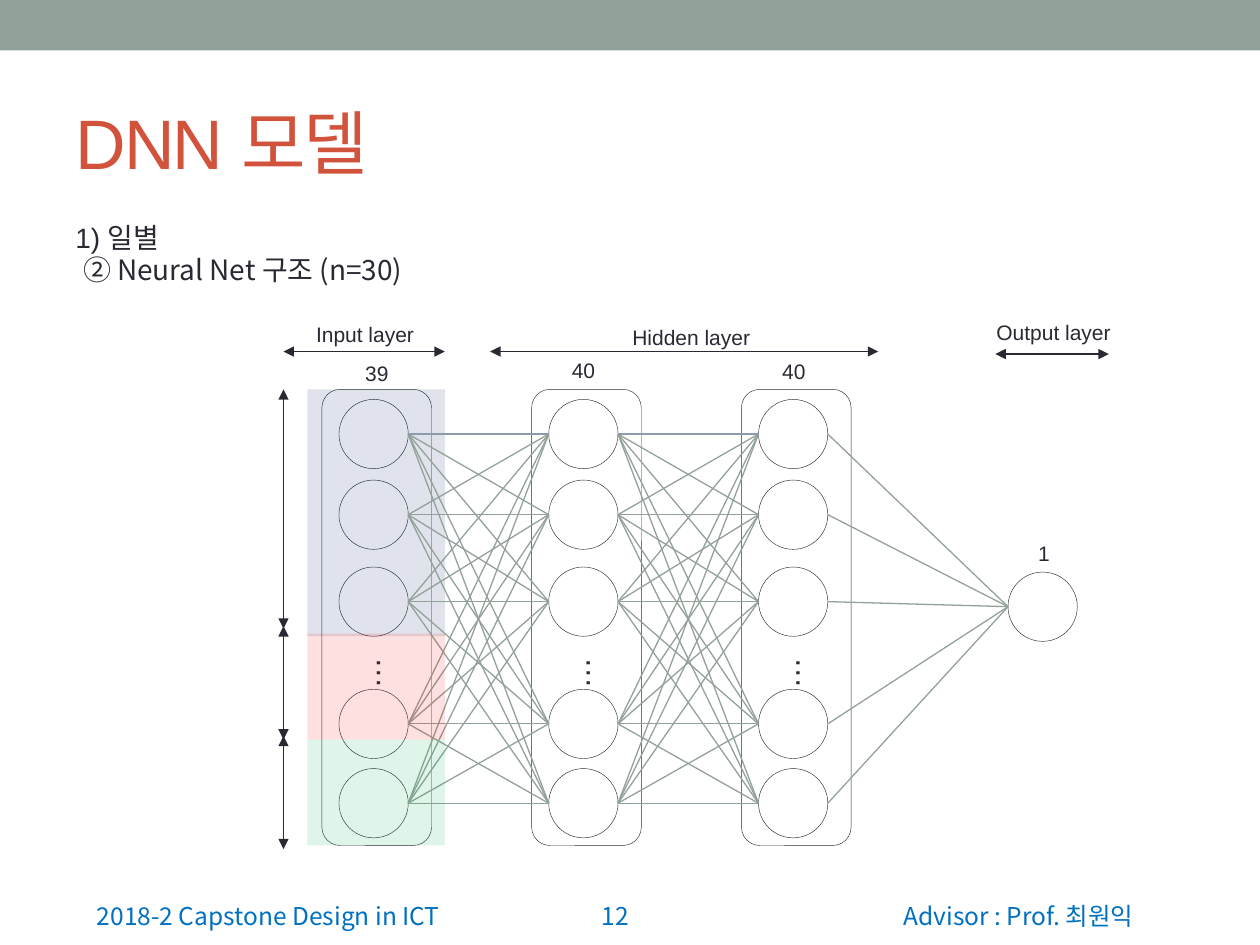
"""Build the slide on the DNN model's neural net structure."""
from dataclasses import dataclass
from itertools import product

from lxml.etree import SubElement
from pptx import Presentation
from pptx.dml.color import RGBColor as RGB
from pptx.enum.shapes import MSO_CONNECTOR as CONN, MSO_SHAPE as SHAPE
from pptx.enum.text import MSO_ANCHOR as ANCHOR, PP_ALIGN as ALIGN
from pptx.oxml.ns import qn
from pptx.util import Inches, Pt

COLS, ROWS = 100, 75
NODE, NODE_TOPS = 5.5, (31.7, 38.1, 45, 54.7, 61)
LAYER_X, LAYER_STEP = 26.9, 16.65
OUTPUT_X, OUTPUT_Y = 80, 45.4
BAND_X, BAND_W = 24.4, 10.9


@dataclass(frozen=True)
class Theme:
    """Colours, fonts and type sizes of the slide."""
    ink: str = "292934"
    title: str = "D2533C"
    footer: str = "0070C0"
    sage: str = "93A299"
    steel: str = "8C9CAD"
    navy: str = "002060"
    red: str = "FF0000"
    green: str = "00B050"
    sans: str = "Arial"
    korean: str = "Noto Sans CJK KR"
    title_size: int = 40
    dots_size: int = 18
    body_size: int = 16
    footer_size: int = 14
    label_size: int = 12
    thin: float = 0.25
    link: float = 0.75
    band_alpha: int = 12


T = Theme()


def cell(n):
    """Turn grid cells into a length; a cell is a tenth of an inch."""
    return Inches(n / 10)


def add_run(p, text, size, color, font=T.sans, spacing=None):
    """Append one styled run to a paragraph."""
    r = p.add_run()
    r.text = text
    r.font.size, r.font.name = Pt(size), font
    r.font.color.rgb = RGB.from_string(color)
    rPr = r.font._element
    SubElement(rPr, qn("a:ea")).set("typeface", T.korean)
    if spacing:
        rPr.set("spc", str(int(spacing * 100)))


def add_box(s, x, y, w, h, anchor=ANCHOR.TOP):
    """Add a wrapping text box and return its text frame."""
    tf = s.shapes.add_textbox(*map(cell, (x, y, w, h))).text_frame
    tf.word_wrap, tf.vertical_anchor = True, anchor
    return tf


def add_label(s, text, x, y, w):
    """Add a short diagram label."""
    add_run(add_box(s, x, y, w, 3).paragraphs[0], text, T.label_size, T.ink)


def add_footer(s, text, x, w, align):
    """Add one part of the footer."""
    p = add_box(s, x, 69.3, w, 5, ANCHOR.BOTTOM).paragraphs[0]
    p.alignment = align
    add_run(p, text, T.footer_size, T.footer, T.korean)


def add_outline(s, kind, x, y, w, h):
    """Add an unfilled shape with a hairline."""
    sp = s.shapes.add_shape(kind, *map(cell, (x, y, w, h)))
    sp.shadow.inherit = False
    sp.fill.background()
    sp.line.color.rgb, sp.line.width = RGB.from_string(T.ink), Pt(T.thin)


def add_fill(s, color, x, y, w, h, alpha=None):
    """Add a borderless rectangle, optionally see-through."""
    sp = s.shapes.add_shape(SHAPE.RECTANGLE, *map(cell, (x, y, w, h)))
    sp.shadow.inherit = False
    sp.fill.solid()
    sp.fill.fore_color.rgb = RGB.from_string(color)
    sp.line.fill.background()
    if alpha:
        clr = sp._element.spPr.find(qn("a:solidFill"))[0]
        SubElement(clr, qn("a:alpha")).set("val", str(alpha * 1000))


def add_line(s, x1, y1, x2, y2, color=T.sage):
    """Add a straight connector."""
    c = s.shapes.add_connector(CONN.STRAIGHT, *map(cell, (x1, y1, x2, y2)))
    c.line.color.rgb, c.line.width = RGB.from_string(color), Pt(T.link)
    SubElement(c._element.spPr, qn("a:effectLst"))
    return c


def add_span(s, x1, y1, x2, y2):
    """Add a double-headed arrow."""
    ln = add_line(s, x1, y1, x2, y2, T.ink).line._get_or_add_ln()
    for end in ("a:headEnd", "a:tailEnd"):
        SubElement(ln, qn(end)).set("type", "triangle")


def add_layer(s, x):
    """Add a framed column of nodes with its ellipsis."""
    add_outline(s, SHAPE.ROUNDED_RECTANGLE, x - 1.35, 30.9, 8.7, 36.2)
    for y in NODE_TOPS:
        add_outline(s, SHAPE.OVAL, x, y, NODE, NODE)
    tf = add_box(s, x + 1, 51.2, 5, 4.2)
    tf._txBody.bodyPr.set("vert", "eaVert")
    add_run(tf.paragraphs[0], "…", T.dots_size, T.ink)


def add_links(s, x1, x2, targets=NODE_TOPS):
    """Join every node at x1 to every target node at x2."""
    for a, b in product(NODE_TOPS, targets):
        color = T.steel if a == b == NODE_TOPS[0] else T.sage
        add_line(s, x1 + NODE, a + NODE / 2, x2, b + NODE / 2, color)


def add_network(s):
    """Draw the layers, their links and the input bands."""
    source, first, second = (LAYER_X + i * LAYER_STEP for i in range(3))
    add_layer(s, first)
    add_layer(s, second)
    add_outline(s, SHAPE.OVAL, OUTPUT_X, OUTPUT_Y, NODE, NODE)
    add_links(s, first, second)
    add_links(s, second, OUTPUT_X, (OUTPUT_Y,))
    add_layer(s, source)
    add_fill(s, T.navy, BAND_X, 30.9, BAND_W, 19.6, T.band_alpha)
    add_links(s, source, first)
    for color, y in ((T.red, 50.3), (T.green, 58.7)):
        add_fill(s, color, BAND_X, y, BAND_W, 8.4, T.band_alpha)


def add_annotations(s):
    """Add the extent arrows, layer names and node counts."""
    for top, bottom in ((30.9, 49.9), (49.7, 58.7), (58.4, 67.4)):
        add_span(s, 22.5, top, 22.5, bottom)
    for left, right, y in ((22.5, 35.3, 27.9), (38.9, 69.7, 27.9), (79, 88, 28.1)):
        add_span(s, left, y, right, y)
    for text, x, y in (("Input layer", 24.1, 25), ("Hidden layer", 49.2, 25.3),
                       ("Output layer", 78.1, 24.9)):
        add_label(s, text, x, y, 16.5)
    for text, x, y in (("39", 28, 28.1), ("40", 44.4, 27.9),
                       ("40", 61.1, 28), ("1", 81.4, 42.4)):
        add_label(s, text, x, y, 10.6)


def add_heading(s):
    """Add the title and the two lines under it."""
    tf = add_box(s, 5, 5.8, 90, 10.8, ANCHOR.MIDDLE)
    add_run(tf.paragraphs[0], "DNN 모델", T.title_size, T.title, spacing=-1)
    tf = add_box(s, 5, 17.5, 90, 7)
    p = tf.paragraphs[0]
    p.line_spacing = 0.8
    add_run(p, "1) 일별", T.body_size, T.ink)
    p = tf.add_paragraph()
    p.line_spacing, p.space_before = 0.8, Pt(3.2)
    add_run(p, " ", T.body_size, T.ink)
    add_run(p, "② Neural Net 구조 (n=30)", T.body_size, T.ink, T.korean)


def main():
    """Build and save the slide."""
    prs = Presentation()
    prs.slide_width, prs.slide_height = cell(COLS), cell(ROWS)
    s = prs.slides.add_slide(prs.slide_layouts[6])
    add_fill(s, T.sage, 0, 0, COLS, 4)
    add_footer(s, "12", 41.3, 9.6, ALIGN.RIGHT)
    add_footer(s, "Advisor : Prof. 최원익", 65, 31.7, ALIGN.CENTER)
    add_footer(s, "2018-2 Capstone Design in ICT", 6.7, 31.7, ALIGN.LEFT)
    add_heading(s)
    add_network(s)
    add_annotations(s)
    prs.save("out.pptx")


if __name__ == "__main__":
    main()
